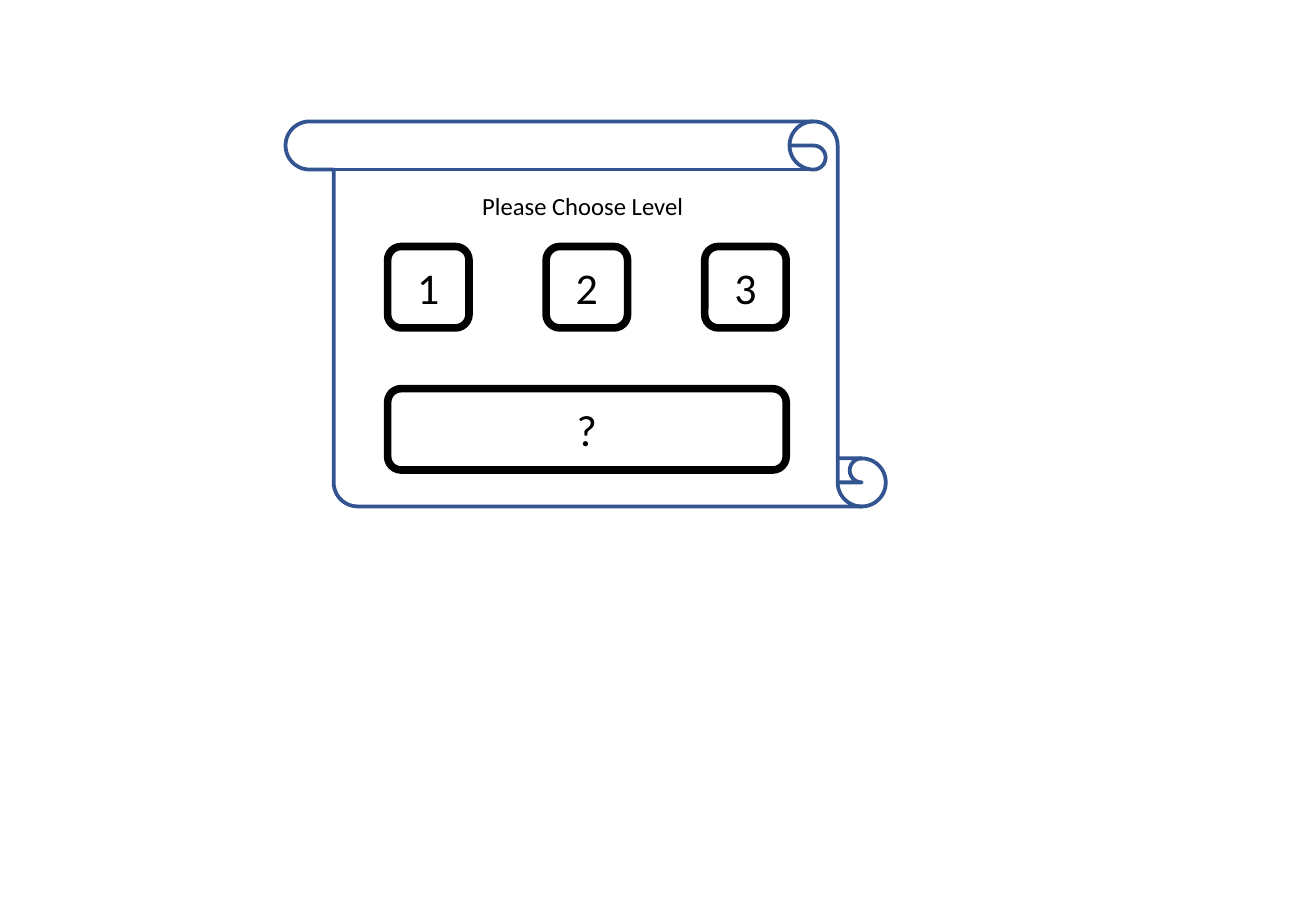
"""Build a level-selection slide: a scroll holding three level buttons and a mystery button."""
from dataclasses import dataclass

from pptx import Presentation
from pptx.dml.color import RGBColor
from pptx.enum.shapes import MSO_SHAPE
from pptx.enum.text import MSO_ANCHOR, MSO_AUTO_SIZE, PP_ALIGN
from pptx.util import Inches, Pt

SCROLL = MSO_SHAPE.VERTICAL_SCROLL
BUTTON = MSO_SHAPE.ROUNDED_RECTANGLE
MIDDLE = MSO_ANCHOR.MIDDLE
CENTER = PP_ALIGN.CENTER
FIT_TEXT = MSO_AUTO_SIZE.SHAPE_TO_FIT_TEXT

PROMPT = "Please Choose Level"
LEVELS = ["1", "2", "3"]
MYSTERY = "?"

SCROLL_BOX = (2.35, 1, 4.94, 3.17)
PROMPT_BOX = (3.87, 1.52, 1.87, 0.35)
BUTTONS_LEFT, BUTTONS_WIDTH = 3.19, 3.28
BUTTON_SIZE = 0.67
LEVELS_TOP, MYSTERY_TOP = 2.03, 3.2


@dataclass(frozen=True)
class Theme:
    font: str = "Calibri"
    ink: RGBColor = RGBColor(0x00, 0x00, 0x00)
    paper: RGBColor = RGBColor(0xFF, 0xFF, 0xFF)
    scroll_line: RGBColor = RGBColor(0x32, 0x54, 0x91)
    prompt_size: float = 14.6
    button_size: float = 26
    scroll_width: float = 2.25
    button_width: float = 4.5


THEME = Theme()


def write(frame, text, size):
    frame.text = text
    paragraph = frame.paragraphs[0]
    paragraph.font.name = THEME.font
    paragraph.font.size = Pt(size)
    paragraph.font.color.rgb = THEME.ink
    return paragraph


def add_outline(slide, kind, box, color, width):
    outline = slide.shapes.add_shape(kind, *map(Inches, box))
    outline.shadow.inherit = False
    outline.line.color.rgb = color
    outline.line.width = Pt(width)
    return outline


def add_scroll(slide):
    scroll = add_outline(slide, SCROLL, SCROLL_BOX, THEME.scroll_line, THEME.scroll_width)
    scroll.fill.background()
    scroll._element.spPr.xfrm.set("flipH", "1")


def add_button(slide, label, box):
    button = add_outline(slide, BUTTON, box, THEME.ink, THEME.button_width)
    button.fill.solid()
    button.fill.fore_color.rgb = THEME.paper
    button.text_frame.vertical_anchor = MIDDLE
    write(button.text_frame, label, THEME.button_size).alignment = CENTER


def add_prompt(slide):
    frame = slide.shapes.add_textbox(*map(Inches, PROMPT_BOX)).text_frame
    frame.word_wrap = False
    frame.auto_size = FIT_TEXT
    write(frame, PROMPT, THEME.prompt_size)


def main():
    deck = Presentation()
    deck.slide_width, deck.slide_height = Inches(10.83), Inches(7.5)
    slide = deck.slides.add_slide(deck.slide_layouts[6])

    add_scroll(slide)
    add_prompt(slide)
    level_step = (BUTTONS_WIDTH - BUTTON_SIZE) / (len(LEVELS) - 1)
    for index, level in enumerate(LEVELS):
        left = BUTTONS_LEFT + index * level_step
        add_button(slide, level, (left, LEVELS_TOP, BUTTON_SIZE, BUTTON_SIZE))
    add_button(slide, MYSTERY, (BUTTONS_LEFT, MYSTERY_TOP, BUTTONS_WIDTH, BUTTON_SIZE))

    deck.save("out.pptx")


if __name__ == "__main__":
    main()
